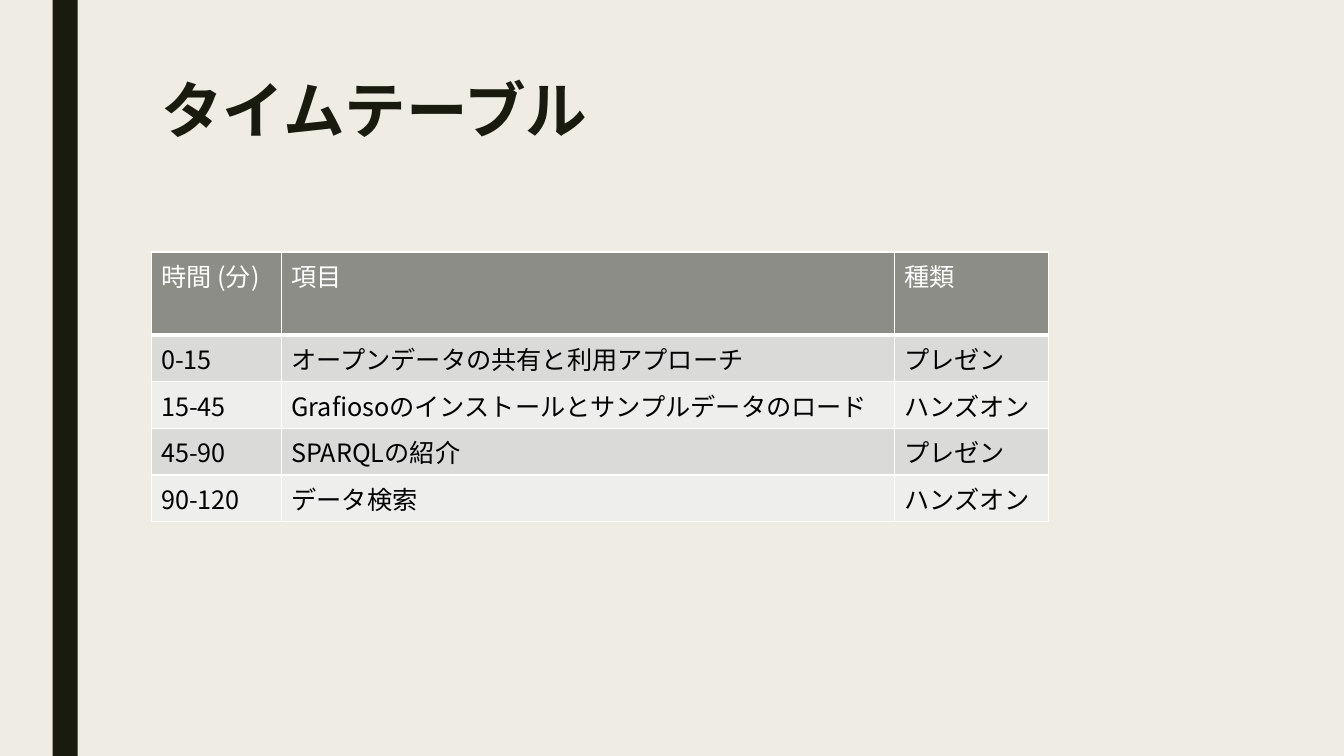
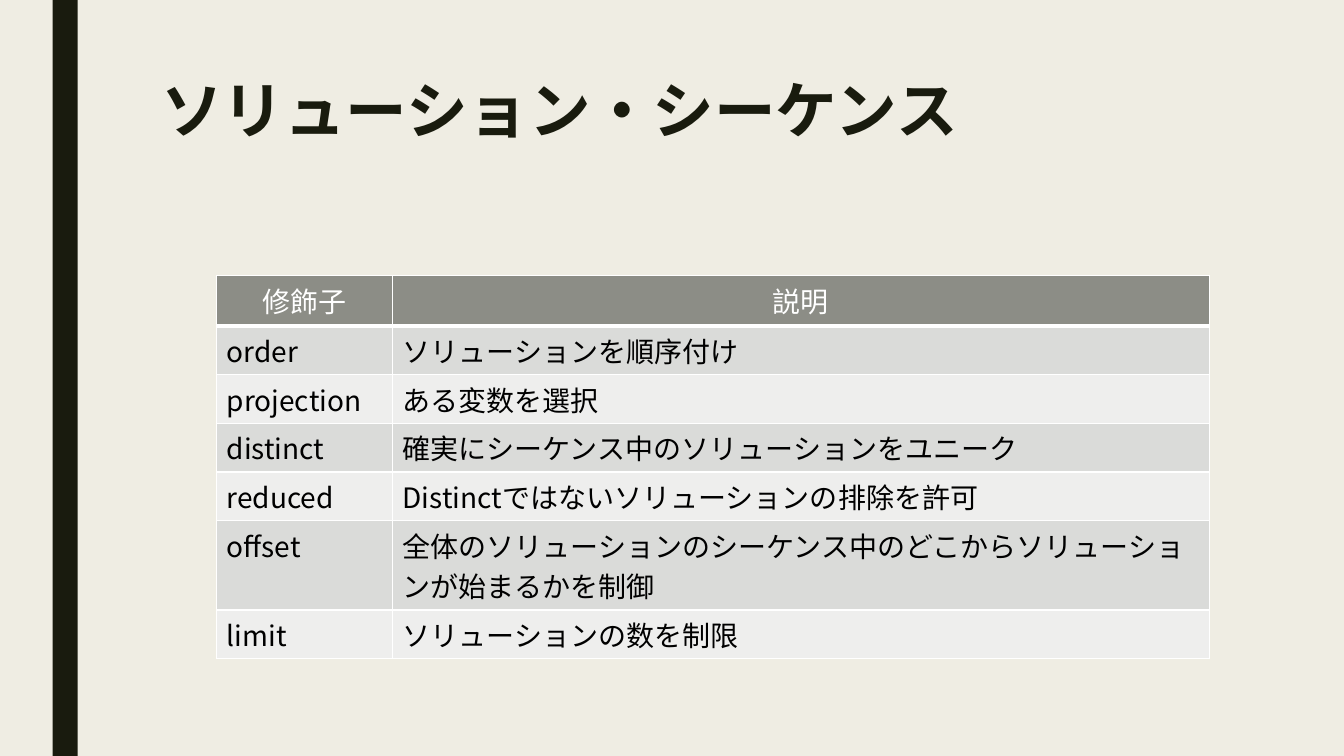
from lxml import etree
from pptx import Presentation
from pptx.dml.color import RGBColor
from pptx.enum import shapes, text
from pptx.oxml import ns
from pptx.util import Pt

FONT = "Noto Sans CJK JP"
LEAD = 1.45  # line height of the font, in ems
EDGE = 3.6   # default cell margin above and below
HUES = {
    "page": "EFEDE3", "ink": "191B0E", "head": "8C8D86",
    "odd": "DADBD9", "even": "EEEEED", "white": "FFFFFF", "black": "000000",
}
LEFT, MID = text.PP_ALIGN.LEFT, text.PP_ALIGN.CENTER

TIMES = [
    ("時間 (分)", "項目", "種類"),
    ("0-15", "オープンデータの共有と利用アプローチ", "プレゼン"),
    ("15-45", "Grafiosoのインストールとサンプルデータのロード", "ハンズオン"),
    ("45-90", "SPARQLの紹介", "プレゼン"),
    ("90-120", "データ検索", "ハンズオン"),
]
TERMS = [
    ("修飾子", "説明"),
    ("order", "ソリューションを順序付け"),
    ("projection", "ある変数を選択"),
    ("distinct", "確実にシーケンス中のソリューションをユニーク"),
    ("reduced", "Distinctではないソリューションの排除を許可"),
    ("offset", "全体のソリューションのシーケンス中のどこから"
               "ソリューションが始まるかを制御"),
    ("limit", "ソリューションの数を制限"),
]


def hue(name):
    return RGBColor.from_string(HUES[name])


def paint(fill, name):
    fill.solid()
    fill.fore_color.rgb = hue(name)


def write(frame, words, size, name, bold=False, align=LEFT):
    """Put one styled run in the frame and return its paragraph."""
    para = frame.paragraphs[0]
    para.alignment = align
    run = para.add_run()
    run.text = words
    look = {"name": FONT, "size": Pt(size), "bold": bold}
    for key, value in look.items():
        setattr(run.font, key, value)
    run.font.color.rgb = hue(name)
    # East Asian glyphs take their typeface from a:ea
    props = run._r.get_or_add_rPr()
    etree.SubElement(props, ns.qn("a:ea"), typeface=FONT)
    return para


def edge(cell, row):
    """White cell borders, with a thick rule under the header row."""
    wide = {"L": 1, "R": 1, "T": 3 if row == 1 else 1, "B": 3 if row == 0 else 1}
    props = cell._tc.get_or_add_tcPr()
    for side, width in wide.items():
        line = etree.SubElement(props, ns.qn("a:ln" + side), w=str(Pt(width)))
        fill = etree.SubElement(line, ns.qn("a:solidFill"))
        etree.SubElement(fill, ns.qn("a:srgbClr"), val=HUES["white"])


def grid(slide, data, left, top, cols, size, tall, align=LEFT, pad=EDGE):
    """Banded table; tall is the index of the row with two lines of text.

    The header uses align, and the body rows use pad.
    """
    pads = [EDGE] + [pad] * (len(data) - 1)
    highs = [size * LEAD * (2 if r == tall else 1) + 2 * gap
             for r, gap in enumerate(pads)]
    table = slide.shapes.add_table(
        len(data), len(cols), Pt(left), Pt(top),
        Pt(sum(cols)), Pt(sum(highs))).table
    for col, width in zip(table.columns, cols):
        col.width = Pt(width)
    for r, items in enumerate(data):
        table.rows[r].height = Pt(highs[r])
        band = "head" if r == 0 else "odd" if r % 2 else "even"
        for c, words in enumerate(items):
            cell = table.cell(r, c)
            edge(cell, r)
            paint(cell.fill, band)
            cell.margin_top = cell.margin_bottom = Pt(pads[r])
            write(cell.text_frame, words, size, "black" if r else "white",
                  align=LEFT if r else align)


def page(deck, title):
    """Add a slide with the side band and the title."""
    slide = deck.slides.add_slide(deck.slide_layouts[6])
    paint(slide.background.fill, "page")
    band = slide.shapes.add_shape(
        shapes.MSO_SHAPE.RECTANGLE, Pt(37.5), 0, Pt(18), deck.slide_height)
    band.shadow.inherit = False
    paint(band.fill, "ink")
    band.line.fill.background()
    box = slide.shapes.add_textbox(Pt(108), Pt(54), Pt(756), Pt(116.6))
    box.text_frame.word_wrap = True
    para = write(box.text_frame, title, 44, "ink", bold=True)
    para.line_spacing = 0.89
    return slide


def main():
    deck = Presentation()
    deck.slide_width, deck.slide_height = Pt(960), Pt(540)
    grid(page(deck, "タイムテーブル"), TIMES,
         108, 180, (93, 437.8, 110), 18, tall=0)
    grid(page(deck, "ソリューション・シーケンス"), TERMS,
         154.8, 196.6, (125.5, 583.7), 20, tall=5, align=MID, pad=2.9)
    deck.save("out.pptx")


if __name__ == "__main__":
    main()
